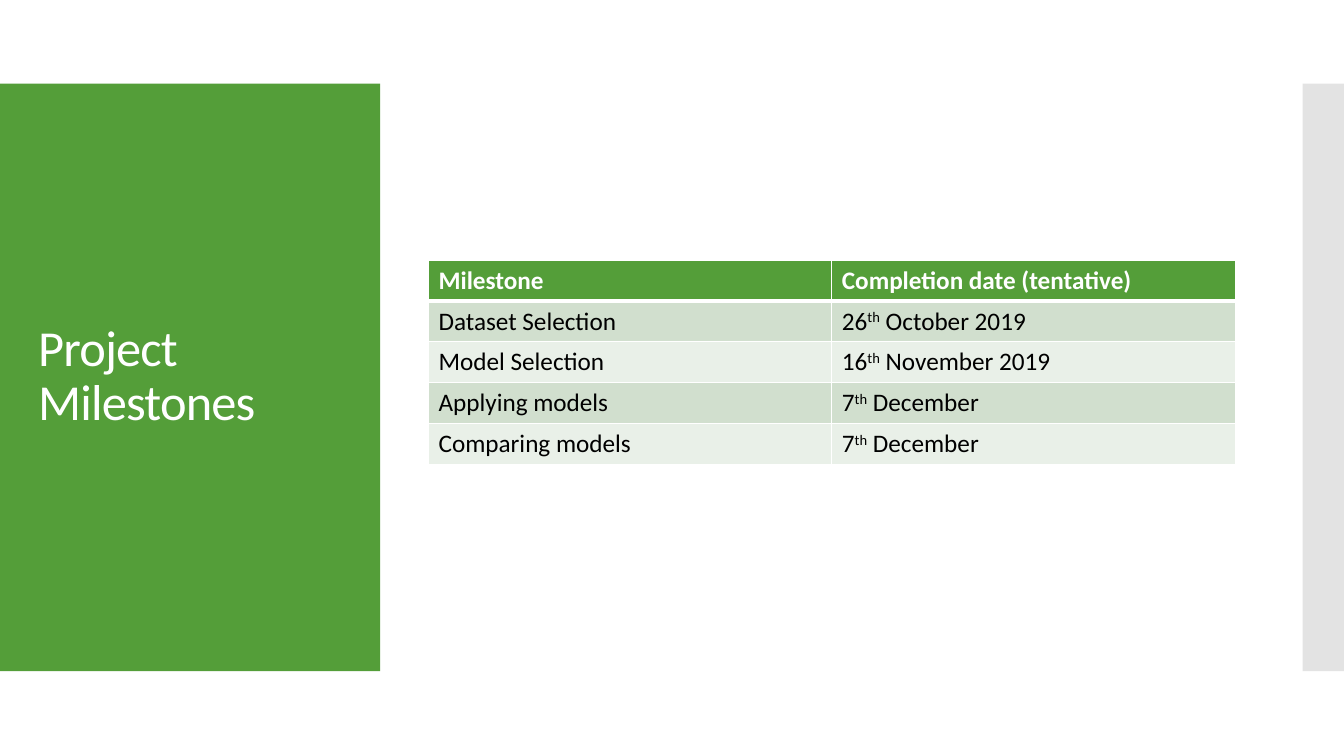
from lxml.etree import SubElement
from pptx import Presentation
from pptx.dml.color import RGBColor
from pptx.enum.shapes import MSO_SHAPE
from pptx.enum.text import MSO_ANCHOR
from pptx.oxml import parse_xml
from pptx.oxml.ns import nsdecls, qn
from pptx.util import Inches, Pt


def rgb(value):
    return RGBColor.from_string(value)


class SlideBuilder:
    """Holds the style and the current slide, and adds each kind of element."""

    font = "Calibri"
    green = "549E39"
    gray = "C8C8C8"
    white = "FFFFFF"
    black = "000000"
    bands = ("D1DFCE", "E9F0E8")

    def __init__(self, prs):
        self.slide = prs.slides.add_slide(prs.slide_layouts[6])

    def format_run(self, r, size, color, bold=False):
        r.font.name = self.font
        r.font.size = Pt(size)
        r.font.bold = bold
        r.font.color.rgb = rgb(color)

    def panel(self, x, y, w, h, color, opacity=100):
        sp = self.slide.shapes.add_shape(
            MSO_SHAPE.RECTANGLE, Inches(x), Inches(y), Inches(w), Inches(h))
        sp.shadow.inherit = False
        sp.fill.solid()
        sp.fill.fore_color.rgb = rgb(color)
        sp.line.fill.background()
        if opacity < 100:
            clr = next(sp._element.spPr.iter(qn("a:srgbClr")))
            SubElement(clr, qn("a:alpha"), val=str(opacity * 1000))

    def title(self, x, y, w, h, text):
        sp = self.slide.shapes.add_textbox(Inches(x), Inches(y), Inches(w), Inches(h))
        tf = sp.text_frame
        tf.word_wrap = True
        tf.vertical_anchor = MSO_ANCHOR.MIDDLE
        tf.text = text
        p = tf.paragraphs[0]
        p.line_spacing = 0.9
        r = p.runs[0]
        self.format_run(r, 36, self.white)
        r._r.get_or_add_rPr().set("spc", "-60")

    def borders(self, cell, top, bottom):
        tc_pr = cell._tc.get_or_add_tcPr()
        for i, (side, width) in enumerate(zip("LRTB", (1, 1, top, bottom))):
            tc_pr.insert(i, parse_xml(
                f'<a:ln{side} {nsdecls("a")} w="{Pt(width)}"><a:solidFill>'
                f'<a:srgbClr val="{self.white}"/></a:solidFill></a:ln{side}>'))

    def cell(self, cell, text, fill, color, bold):
        cell.fill.solid()
        cell.fill.fore_color.rgb = rgb(fill)
        p = cell.text_frame.paragraphs[0]
        for i, part in enumerate(text.split("^")):
            r = p.add_run()
            r.text = part
            self.format_run(r, 18, color, bold)
            if i == 1:
                r._r.get_or_add_rPr().set("baseline", "30000")

    def table(self, x, y, col_width, row_height, rows):
        n_cols = len(rows[0])
        frame = self.slide.shapes.add_table(
            len(rows), n_cols, Inches(x), Inches(y),
            Inches(col_width * n_cols), Inches(row_height * len(rows)))
        table = frame.table
        for col in table.columns:
            col.width = Inches(col_width)
        for i, row in enumerate(rows):
            table.rows[i].height = Inches(row_height)
            header = i == 0
            fill = self.green if header else self.bands[(i - 1) % 2]
            color = self.white if header else self.black
            for j, text in enumerate(row):
                cell = table.cell(i, j)
                self.cell(cell, text, fill, color, header)
                self.borders(cell, 3 if i == 1 else 1, 3 if header else 1)


def main():
    prs = Presentation()
    prs.slide_width = Inches(13.33)
    prs.slide_height = Inches(7.5)
    s = SlideBuilder(prs)
    s.panel(0, 0.83, 3.77, 5.83, s.green)
    s.panel(12.92, 0.83, 0.41, 5.83, s.gray, 50)
    s.title(0.28, 1.23, 3.22, 5.03, "Project Milestones")
    s.table(4.25, 2.58, 4, 0.406, [
        ("Milestone", "Completion date (tentative)"),
        ("Dataset Selection", "26^th^ October 2019"),
        ("Model Selection", "16^th^ November 2019"),
        ("Applying models", "7^th^ December"),
        ("Comparing models", "7^th^ December"),
    ])
    prs.save("out.pptx")


if __name__ == "__main__":
    main()
